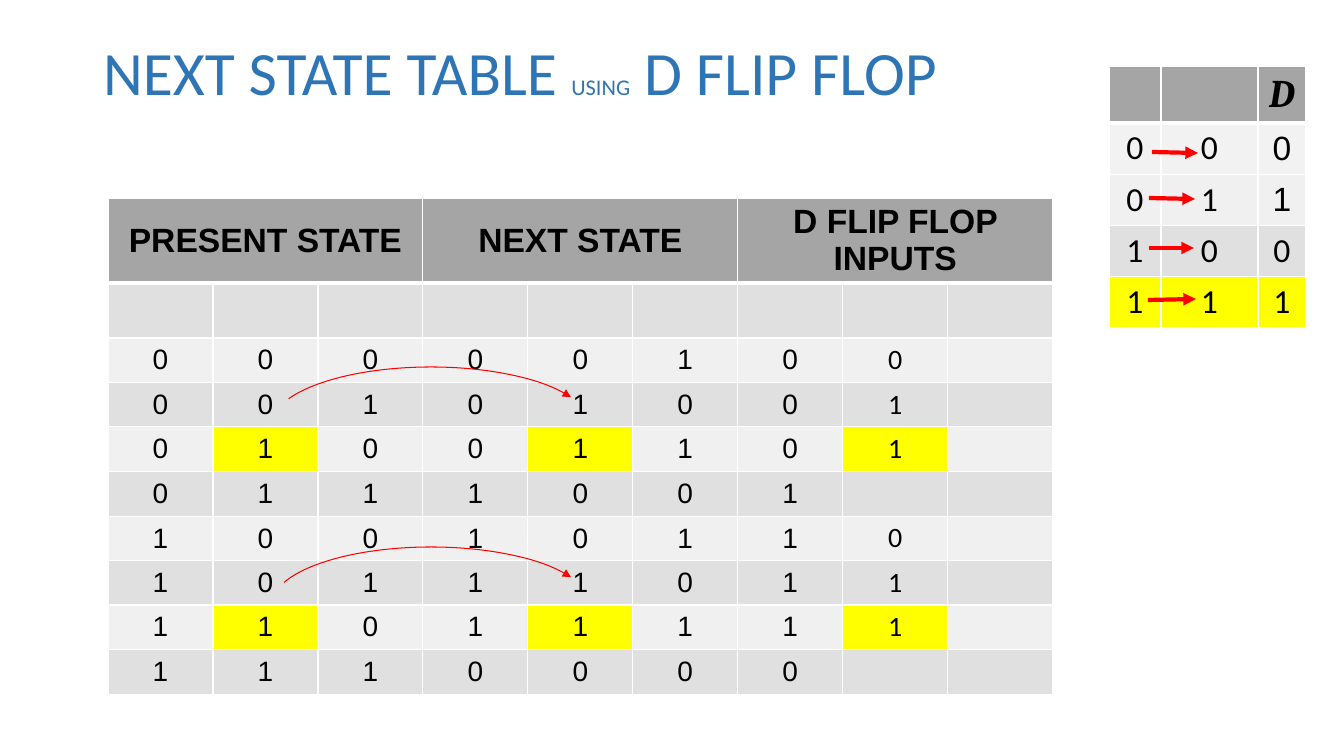
import dataclasses

import lxml.etree
import pptx
import pptx.dml.color
import pptx.enum.shapes
import pptx.enum.text
import pptx.oxml.ns
import pptx.util

EMU_PER_PX = 914400 / 100.8


@dataclasses.dataclass(frozen=True)
class Theme:
    title: str = "2E75B5"
    text: str = "000000"
    header: str = "A5A5A5"
    pale: str = "F2F2F2"
    light: str = "F0F0F0"
    dark: str = "E0E0E0"
    highlight: str = "FFFF00"
    border: str = "FFFFFF"
    arrow: str = "FF0000"
    sans: str = "Arial"
    body: str = "Calibri"
    symbol: str = "Cambria"
    title_size: int = 44
    using_size: int = 16
    symbol_size: int = 28
    large: int = 24
    digit: int = 20


THEME = Theme()

# Present state, next state, D inputs; a space is an empty cell
STATES = [
    "00000100 ",
    "00101001 ",
    "01001101 ",
    "0111001  ",
    "10010110 ",
    "10111011 ",
    "11011111 ",
    "1110000  ",
]
HEADINGS = ["PRESENT STATE", "NEXT STATE", "D FLIP FLOP INPUTS"]
EXCITATION = ["000", "011", "100", "111"]
EXCITATION_FILLS = [THEME.pale, THEME.light, THEME.dark, THEME.highlight]


def px(length):
    return pptx.util.Emu(round(length * EMU_PER_PX))


def rgb(colour):
    return pptx.dml.color.RGBColor.from_string(colour)


def add_run(paragraph, text, size, font, colour=THEME.text, bold=False, italic=False):
    run = paragraph.add_run()
    run.text = text
    run.font.size = pptx.util.Pt(size)
    run.font.name = font
    run.font.color.rgb = rgb(colour)
    run.font.bold = bold
    run.font.italic = italic


def sub_element(parent, tag, **attributes):
    return lxml.etree.SubElement(parent, pptx.oxml.ns.qn(tag), **attributes)


def paint_cell(cell, fill, bottom=1):
    """Border lines come before the fill in the cell properties."""
    properties = cell._tc.get_or_add_tcPr()
    for side, width in (("L", 1), ("R", 1), ("T", 1), ("B", bottom)):
        edge = sub_element(properties, f"a:ln{side}", w=str(pptx.util.Pt(width)))
        sub_element(sub_element(edge, "a:solidFill"), "a:srgbClr", val=THEME.border)
    cell.fill.solid()
    cell.fill.fore_color.rgb = rgb(fill)
    cell.vertical_anchor = pptx.enum.text.MSO_ANCHOR.MIDDLE


def write_cell(cell, text, size, font, **style):
    paragraph = cell.text_frame.paragraphs[0]
    paragraph.alignment = pptx.enum.text.PP_ALIGN.CENTER
    add_run(paragraph, text, size, font, **style)


def add_grid(slide, left, top, widths, heights):
    frame = slide.shapes.add_table(
        len(heights), len(widths), px(left), px(top), px(sum(widths)), px(sum(heights)))
    grid = frame.table
    grid.horz_banding = False
    for column, width in zip(grid.columns, widths):
        column.width = px(width)
    for row, height in zip(grid.rows, heights):
        row.height = px(height)
    for column in range(len(widths)):
        paint_cell(grid.cell(0, column), THEME.header, bottom=3)
    return grid


def style_arrow(arrow, width):
    arrow.line.color.rgb = rgb(THEME.arrow)
    arrow.line.width = pptx.util.Pt(width)
    sub_element(arrow.line._get_or_add_ln(), "a:tailEnd", type="triangle")


def add_transition(slide, x1, y1, x2, y2):
    arrow = slide.shapes.add_connector(
        pptx.enum.shapes.MSO_CONNECTOR.STRAIGHT, px(x1), px(y1), px(x2), px(y2))
    style_arrow(arrow, 3)
    sub_element(arrow._element.spPr, "a:effectLst")


def add_arc(slide, top, start):
    arc = slide.shapes.add_shape(
        pptx.enum.shapes.MSO_SHAPE.ARC, px(271), px(top), px(320), px(117))
    arc.adjustments[0] = start
    arc.adjustments[1] = 209.146
    arc.fill.background()
    style_arrow(arc, 0.75)
    arc.shadow.inherit = False


def add_title(slide):
    title = slide.shapes.title
    title.left, title.top, title.width, title.height = px(93), px(40), px(1159), px(146)
    frame = title.text_frame
    frame.auto_size = pptx.enum.text.MSO_AUTO_SIZE.NONE
    frame.word_wrap = True
    frame.vertical_anchor = pptx.enum.text.MSO_ANCHOR.MIDDLE
    paragraph = frame.paragraphs[0]
    paragraph.alignment = pptx.enum.text.PP_ALIGN.LEFT
    paragraph.line_spacing = 0.9
    for text, size in (("NEXT STATE TABLE ", THEME.title_size),
                       ("USING", THEME.using_size),
                       (" D FLIP FLOP", THEME.title_size)):
        add_run(paragraph, text, size, THEME.body, THEME.title)
    paragraph.add_line_break()


def add_excitation_table(slide):
    grid = add_grid(slide, 1109, 66, [52, 97, 48], [57] + [51] * 4)
    write_cell(grid.cell(0, 2), "D", THEME.symbol_size, THEME.symbol, bold=True, italic=True)
    for row, (digits, fill) in enumerate(zip(EXCITATION, EXCITATION_FILLS), start=1):
        for column, digit in enumerate(digits):
            cell = grid.cell(row, column)
            paint_cell(cell, fill)
            font = THEME.sans if column == 2 and row <= 2 else THEME.body
            write_cell(cell, digit, THEME.large, font)


def add_state_table(slide):
    grid = add_grid(slide, 108, 198, [105] * 9, [84, 55] + [44, 44, 44, 45] * 2)
    for group, heading in enumerate(HEADINGS):
        first = grid.cell(0, group * 3)
        first.merge(grid.cell(0, group * 3 + 2))
        write_cell(first, heading, THEME.large, THEME.sans, bold=True)
    for column in range(9):
        paint_cell(grid.cell(1, column), THEME.dark)
    for row, digits in enumerate(STATES, start=2):
        band = THEME.dark if row % 2 else THEME.light
        stays_set = digits[1] == digits[4] == "1"
        for column, digit in enumerate(digits):
            cell = grid.cell(row, column)
            paint_cell(cell, THEME.highlight if stays_set and column % 3 == 1 else band)
            if digit != " ":
                write_cell(cell, digit, THEME.digit, THEME.body if column == 7 else THEME.sans)


def main():
    deck = pptx.Presentation()
    deck.slide_width, deck.slide_height = px(1344), px(756)
    slide = deck.slides.add_slide(deck.slide_layouts.get_by_name("Title Only"))
    add_title(slide)

    # Excitation table with its state transitions
    add_excitation_table(slide)
    for ends in ((1152, 152, 1198, 153), (1149, 198, 1195, 199),
                 (1149, 248, 1194, 248), (1148, 300, 1196, 299)):
        add_transition(slide, *ends)

    # State table with arcs from present to next state
    add_state_table(slide)
    add_arc(slide, 367, 114.384)
    add_arc(slide, 547, 113.345)
    deck.save("out.pptx")


if __name__ == "__main__":
    main()
